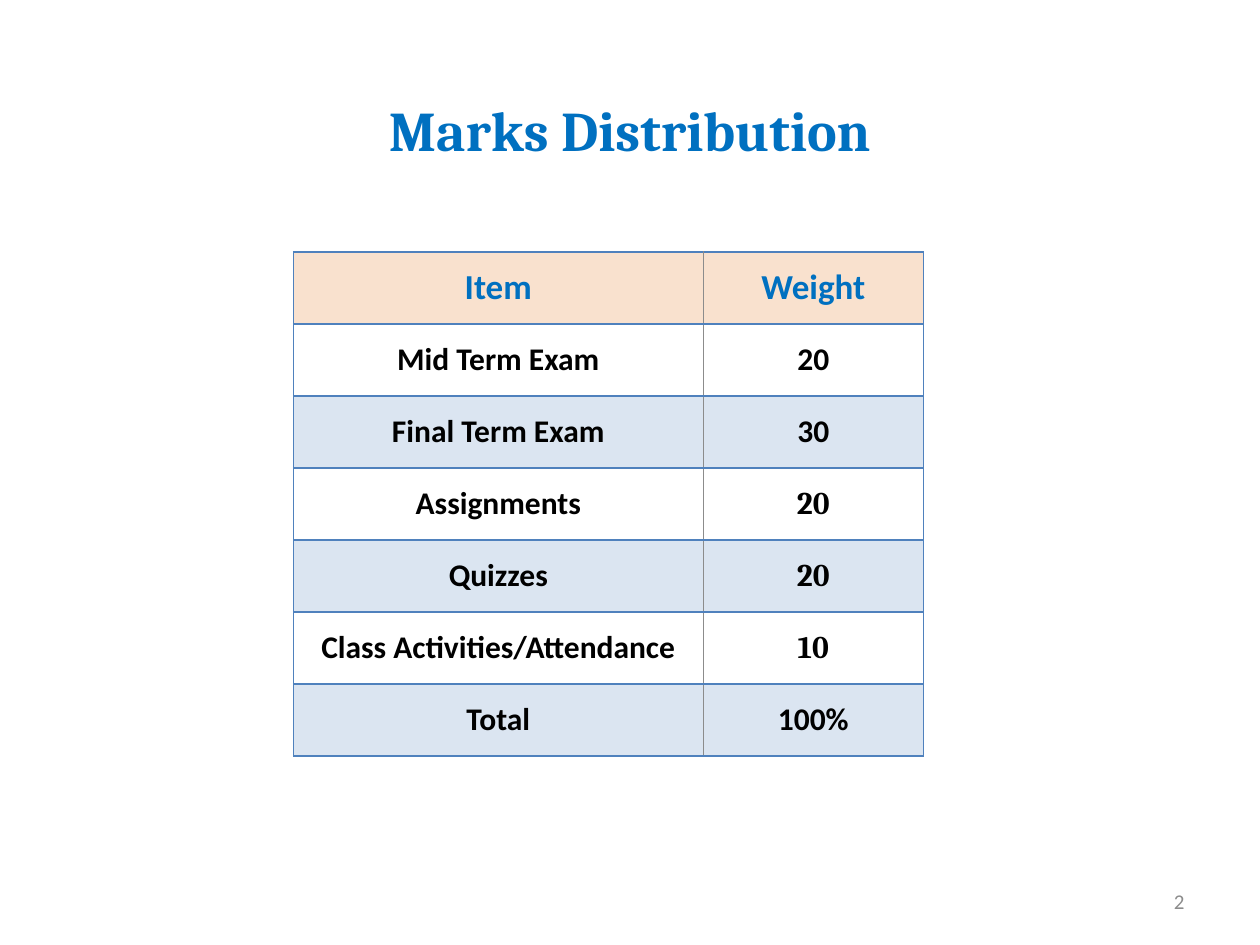
from lxml import etree
from pptx import Presentation
from pptx import util as u
from pptx.dml import color
from pptx.enum import text
from pptx.oxml import ns

MARKS = [
    ("Item", "Weight"),
    ("Mid Term Exam", "20"),
    ("Final Term Exam", "30"),
    ("Assignments", "20"),
    ("Quizzes", "20"),
    ("Class Activities/Attendance", "10"),
    ("Total", "100%"),
]
SERIF_ROWS = (3, 4, 5)
WIDTHS = (3.25, 1.75)
BLUE, EDGE, ORANGE, GRAY = "0070C0", "4F81BD", "E46C0A", "8C8C8C"


def paint(target, tone):
    """Set a solid colour on a fill or a font from a hex string."""
    if hasattr(target, "solid"):
        target.solid()
        target.fore_color.rgb = color.RGBColor.from_string(tone)
    else:
        target.color.rgb = color.RGBColor.from_string(tone)


def write(frame, words, size, tone, face="Calibri", bold=True, align="CENTER"):
    """Put one formatted paragraph in a text frame and return it."""
    frame.text = words
    frame.word_wrap = True
    frame.vertical_anchor = text.MSO_ANCHOR.MIDDLE
    para = frame.paragraphs[0]
    para.alignment = getattr(text.PP_ALIGN, align)
    font = para.runs[0].font
    font.size, font.name, font.bold = u.Pt(size), face, bold
    paint(font, tone)
    return para


def place(shape, left, top, width, height):
    """Move and size a shape in inches."""
    shape.left, shape.top = u.Inches(left), u.Inches(top)
    shape.width, shape.height = u.Inches(width), u.Inches(height)


def edge(cell, side, tone, width):
    """Draw one border of a cell."""
    line = etree.SubElement(cell._tc.get_or_add_tcPr(), ns.qn("a:" + side), w=str(u.Pt(width)))
    fill = etree.SubElement(line, ns.qn("a:solidFill"))
    etree.SubElement(fill, ns.qn("a:srgbClr"), val=tone)


def tint(cell, tone):
    """Fill a cell with a colour at 20 percent opacity."""
    paint(cell.fill, tone)
    tag = cell._tc.tcPr.find(".//" + ns.qn("a:solidFill") + "[last()]")
    tag = cell._tc.tcPr.find(ns.qn("a:solidFill") + "/" + ns.qn("a:srgbClr"))
    etree.SubElement(tag, ns.qn("a:alpha"), val="20000")


def style(cell, row, col):
    """Give a cell its margins, borders and fill."""
    cell.margin_left = cell.margin_right = u.Inches(0.07)
    cell.margin_top = cell.margin_bottom = 0
    cell.vertical_anchor = text.MSO_ANCHOR.MIDDLE
    for side, inner in (("lnL", col == 1), ("lnR", col == 0), ("lnT", False), ("lnB", False)):
        edge(cell, side, *((GRAY, 0.5) if inner else (EDGE, 1)))
    if row % 2:
        cell.fill.background()
    else:
        tint(cell, EDGE if row else ORANGE)


def add_marks(slide):
    """Add the table of items and weights."""
    frame = slide.shapes.add_table(
        len(MARKS), 2, u.Inches(2.33), u.Inches(2), u.Inches(5), u.Inches(4))
    table = frame.table
    table.horz_banding = False
    for col, width in enumerate(WIDTHS):
        table.columns[col].width = u.Inches(width)
    for row, items in enumerate(MARKS):
        for col, words in enumerate(items):
            cell = table.cell(row, col)
            face = "Cambria" if col and row in SERIF_ROWS else "Calibri"
            size, tone = (18, "000000") if row else (20, BLUE)
            para = write(cell.text_frame, words, size, tone, face)
            if row == 0:
                para.space_before = para.space_after = u.Pt(2)
            style(cell, row, col)


def main():
    """Build the slide and save it."""
    deck = Presentation()
    deck.slide_width, deck.slide_height = u.Inches(10), u.Inches(7.5)
    slide = deck.slides.add_slide(deck.slide_layouts[5])
    title = slide.shapes.title
    place(title, 0.5, 0.4, 9, 1.25)
    write(title.text_frame, "Marks Distribution", 32, BLUE, "Cambria")
    add_marks(slide)
    page = slide.shapes.add_textbox(0, 0, 0, 0)
    place(page, 7.17, 6.95, 2.33, 0.4)
    write(page.text_frame, "2", 12, GRAY, bold=False, align="RIGHT")
    deck.save("out.pptx")


main()
